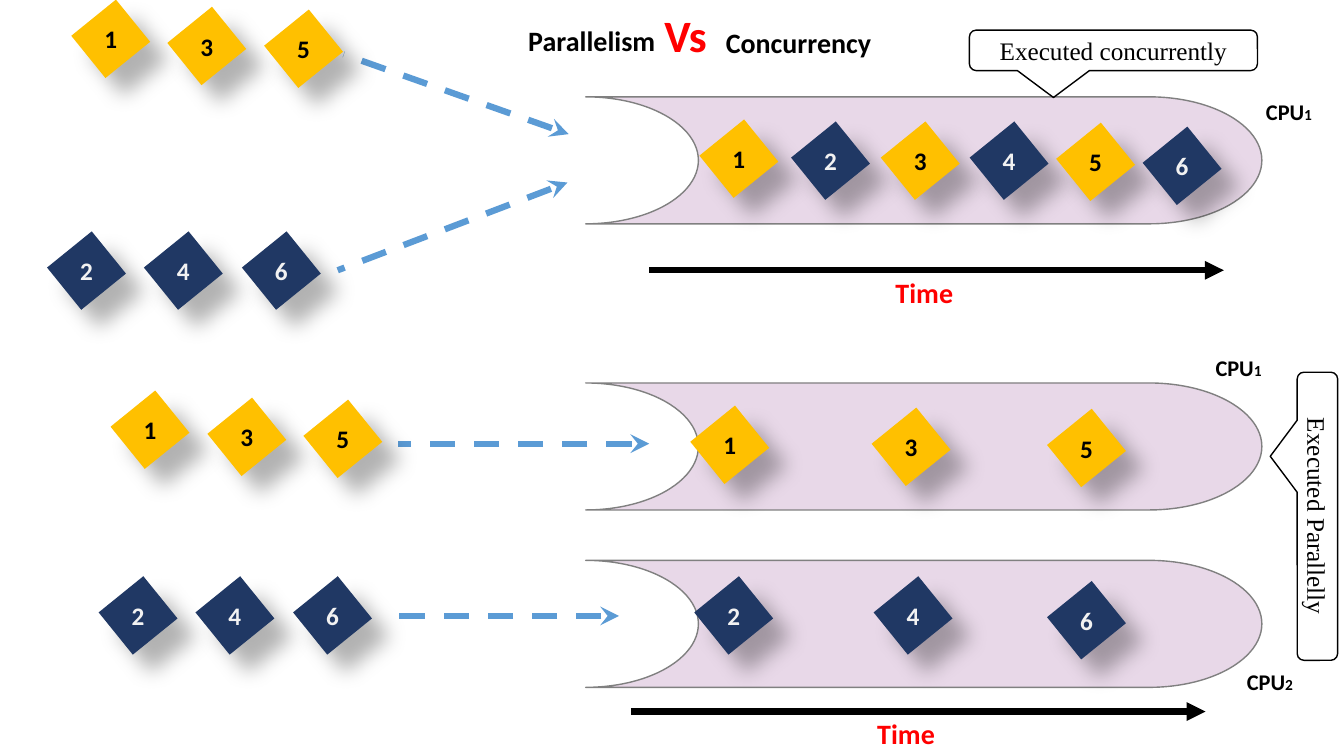
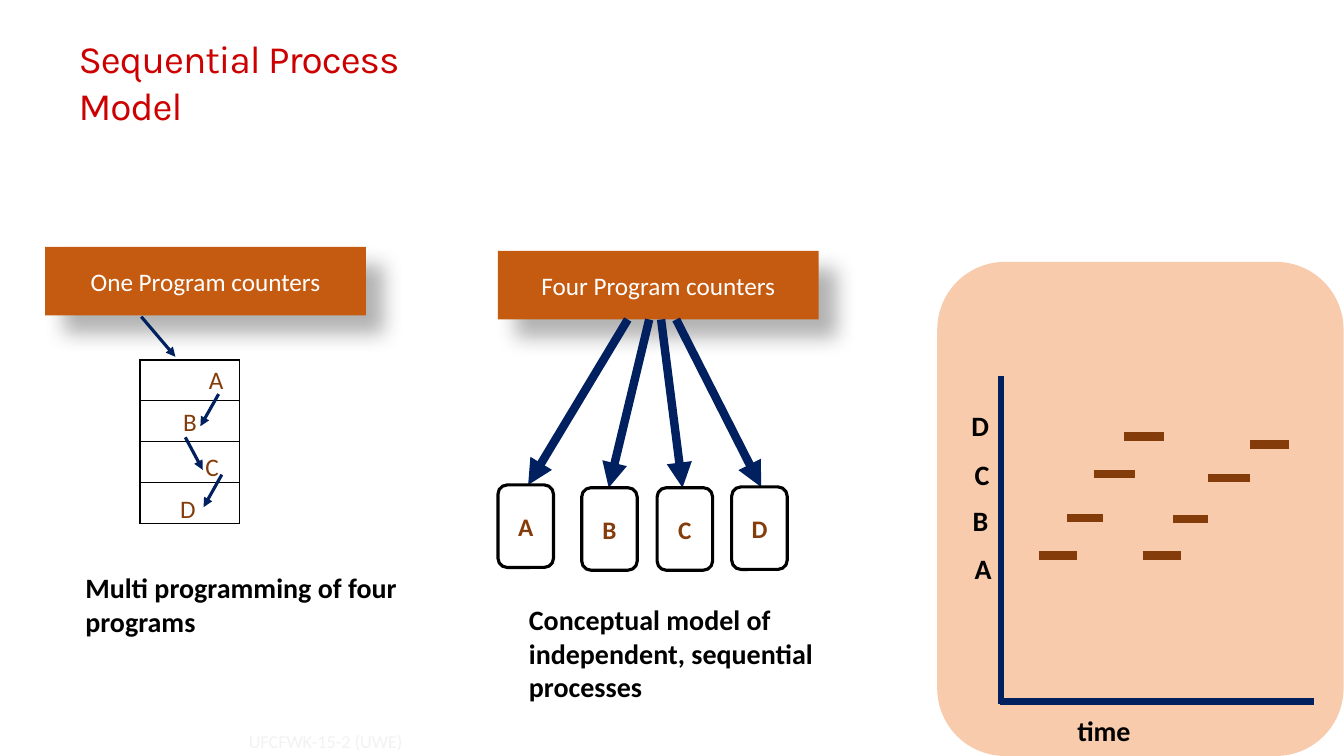
from lxml import etree
from pptx import Presentation
from pptx import util as u
from pptx.dml.color import RGBColor
from pptx.enum import dml, shapes, text
from pptx.oxml.ns import qn

COLOURS = {
    "black": "000000", "white": "FFFFFF", "red": "FF0000", "title": "CC0000",
    "gold": "FFC000", "navy": "203864", "pale": "F2F2F2", "lilac": "E8D8E8",
    "grey": "808080", "blue": "5B9BD5", "ink": "002060", "orange": "C55A11",
    "peach": "F8CBAD", "brown": "843C0B",
}
KIND = shapes.MSO_SHAPE
LEFT, CENTER = text.PP_ALIGN.LEFT, text.PP_ALIGN.CENTER


def add_box(slide, kind, bounds, label="", size=18, colour="black", bold=False,
            align=CENTER, font="Calibri", fill=None, line=None, width=1,
            rotation=0, shadow=False, inset=None):
    """Add a preset shape, or a text box if kind is None; bounds are in cm."""
    place = [u.Cm(length) for length in bounds]
    if kind is None:
        shape = slide.shapes.add_textbox(*place)
    else:
        shape = slide.shapes.add_shape(kind, *place)
    shape.rotation = rotation
    if fill:
        shape.fill.solid()
        shape.fill.fore_color.rgb = RGBColor.from_string(COLOURS[fill])
    else:
        shape.fill.background()
    if line:
        shape.line.color.rgb = RGBColor.from_string(COLOURS[line])
        shape.line.width = u.Pt(width)
    else:
        shape.line.fill.background()
    shape.shadow.inherit = False
    if shadow:
        effects = shape.element.spPr.find(qn("a:effectLst"))
        outer = etree.SubElement(effects, qn("a:outerShdw"), blurRad="190500",
                                 dist="228600", dir="2700000", algn="ctr", rotWithShape="0")
        tint = etree.SubElement(outer, qn("a:srgbClr"), val=COLOURS["black"])
        etree.SubElement(tint, qn("a:alpha"), val="30000")
    if label:
        frame = shape.text_frame
        frame.word_wrap = True
        if inset is not None:
            frame.margin_left = frame.margin_right = u.Cm(inset)
            frame.margin_top = frame.margin_bottom = u.Cm(inset)
        if kind is not None or inset is not None:
            frame.vertical_anchor = text.MSO_ANCHOR.MIDDLE
        paragraph = frame.paragraphs[0]
        paragraph.add_run().text = label
        paragraph.alignment = align
        paragraph.font.name = font
        paragraph.font.size = u.Pt(size)
        paragraph.font.bold = bold
        paragraph.font.color.rgb = RGBColor.from_string(COLOURS[colour])
    return shape


def add_line(slide, points, colour, width, end=None, arrow="triangle", dashed=False):
    """Add a line through points (x1, y1, x2, y2) in cm; end is headEnd or tailEnd."""
    connector = slide.shapes.add_connector(
        shapes.MSO_CONNECTOR.STRAIGHT, *[u.Cm(length) for length in points])
    connector.line.color.rgb = RGBColor.from_string(COLOURS[colour])
    connector.line.width = u.Pt(width)
    if dashed:
        connector.line.dash_style = dml.MSO_LINE.DASH
    properties = connector.element.spPr
    if end:
        etree.SubElement(properties.find(qn("a:ln")), qn("a:" + end), type=arrow)
    etree.SubElement(properties, qn("a:effectLst"))


presentation = Presentation()
presentation.slide_width, presentation.slide_height = u.Cm(33.87), u.Cm(19.05)
blank = presentation.slide_layouts[6]

# Slide 1: parallelism and concurrency
slide = presentation.slides.add_slide(blank)

for label, bounds, size, colour in [
    ("Parallelism", (12.8, 0.46, 4.23, 1.12), 20, "black"),
    ("Vs", (16.38, 0.08, 1.8, 1.63), 32, "red"),
    ("Concurrency", (17.98, 0.53, 4.29, 1.12), 20, "black"),
]:
    add_box(slide, None, bounds, label, size, colour, bold=True)

for top in (2.44, 9.65, 14.12):
    add_box(slide, KIND.FLOWCHART_STORED_DATA, (14.76, top, 17.04, 3.2),
            fill="lilac", line="grey", rotation=180)

for points in [
    (14.33, 3.38, 8.66, 1.37), (14.3, 4.6, 8.51, 6.81),
    (16.36, 11.18, 10.03, 11.18), (15.6, 15.52, 9.65, 15.52),
]:
    add_line(slide, points, "blue", 4.5, "headEnd", "stealth", dashed=True)

# Each row: task numbers with the centres of their tokens
token_rows = [
    [(1, 2.79, 0.98), (3, 5.21, 1.16), (5, 7.65, 1.23)],
    [(2, 2.18, 6.82), (4, 4.62, 6.82), (6, 7.09, 6.82)],
    [(1, 18.62, 4), (2, 20.93, 4.05), (3, 23.19, 4.05),
     (4, 25.43, 4.05), (5, 27.61, 4.08), (6, 29.79, 4.18)],
    [(1, 3.78, 10.83), (3, 6.22, 11.01), (5, 8.64, 11.06)],
    [(2, 3.48, 15.51), (4, 5.92, 15.51), (6, 8.38, 15.51)],
    [(1, 18.39, 11.21), (3, 22.96, 11.26), (5, 27.38, 11.29)],
    [(2, 18.49, 15.51), (4, 23.01, 15.51), (6, 27.38, 15.63)],
]
token_width, token_height = 1.37, 1.45
for row in token_rows:
    for number, x, y in row:
        fill, colour = ("gold", "black") if number % 2 else ("navy", "pale")
        bounds = (x - token_width / 2, y - token_height / 2, token_width, token_height)
        add_box(slide, KIND.RECTANGLE, bounds, fill=fill, rotation=51, shadow=True)
        add_box(slide, None, bounds, str(number), colour=colour, bold=True, inset=0)

for number, left, top in [("1", 30.63, 2.34), ("1", 29.36, 8.81), ("2", 30.15, 16.71)]:
    cpu = add_box(slide, None, (left, top, 3.71, 0.94), "CPU", 16, bold=True)
    run = cpu.text_frame.paragraphs[0].add_run()
    run.text = number
    run.font.size = u.Pt(11)

for label, left, top, rotation in [
    ("Executed concurrently", 24.43, 0.76, 0),
    ("Executed Parallelly", 29.57, 12.5, 90),
]:
    callout = add_box(slide, KIND.ROUNDED_RECTANGULAR_CALLOUT, (left, top, 7.26, 1.02), label,
                      font="Times New Roman", line="black", rotation=rotation)
    for index, value in enumerate((-0.208, 1.165, 0.167)):
        callout.adjustments[index] = value

for x, y in [(16.36, 6.81), (15.9, 17.93)]:
    add_line(slide, (x, y, x + 14.48, y), "black", 4.5, "tailEnd")
    add_box(slide, None, (x + 4.79, y, 4.29, 1.12), "Time", 20, "red", bold=True)

# Slide 2: sequential process model
slide = presentation.slides.add_slide(blank)

title = add_box(slide, None, (1.98, 0.88, 10.59, 2.4), "Sequential Process Model", 27.7,
                "title", align=LEFT, font="Karla", inset=0)
title.text_frame.vertical_anchor = text.MSO_ANCHOR.TOP
for run in title.text_frame.paragraphs[0].runs:
    run.font.element.set("spc", "-70") if hasattr(run.font, "element") else \
        run._r.get_or_add_rPr().set("spc", "-70")

# Timeline of the four processes
add_box(slide, KIND.ROUNDED_RECTANGLE, (23.62, 6.6, 10.24, 12.45), fill="peach")
add_line(slide, (25.22, 9.47, 25.22, 17.75), "ink", 4.5)
add_line(slide, (33.12, 17.68, 25.2, 17.68), "ink", 4.5)
add_box(slide, None, (26.9, 17.86, 2.2, 1.12), "time", 20, bold=True, align=LEFT)
for label, left, top, bars in [
    ("D", 24.23, 10.16, [(28.32, 29.34, 11), (31.5, 32.49, 11.2)]),
    ("C", 24.31, 11.4, [(27.56, 28.6, 11.94), (30.45, 31.5, 12.04)]),
    ("B", 24.26, 12.57, [(26.9, 27.79, 13.06), (29.57, 30.45, 13.08)]),
    ("A", 24.31, 13.77, [(26.19, 27.15, 14), (28.8, 29.77, 14)]),
]:
    add_box(slide, None, (left, top, 1.1, 1.12), label, 20, bold=True, align=LEFT)
    for start, stop, y in bars:
        add_line(slide, (start, y, stop, y), "brown", 6)

for label, left, top in [
    ("One Program counters", 1.14, 6.22), ("Four Program counters", 12.55, 6.32),
]:
    add_box(slide, KIND.RECTANGLE, (left, top, 8.08, 1.73), label, colour="white",
            fill="orange", shadow=True)

# Four counters, each with its own process
for label, left, top, start, tip in [
    ("A", 12.55, 12.22, 15.82, 13.31), ("B", 14.66, 12.29, 16.36, 15.34),
    ("C", 16.56, 12.29, 16.66, 17.2), ("D", 18.44, 12.27, 17.04, 19.18),
]:
    add_line(slide, (start, 8.05, tip, top), "ink", 6, "tailEnd")
    add_box(slide, KIND.ROUNDED_RECTANGLE, (left, top, 1.4, 2.08), label, colour="brown",
            bold=True, line="black", width=2.25, inset=0)

# One counter stepping through a shared memory
table = slide.shapes.add_table(
    4, 1, u.Cm(3.53), u.Cm(9.07), u.Cm(2.51), u.Cm(4.12)).table
table.first_row = table.horz_banding = False
for cell in table.iter_cells():
    for side in ("lnL", "lnR", "lnT", "lnB"):
        border = etree.SubElement(cell._tc.get_or_add_tcPr(), qn("a:" + side), w="12700")
        solid = etree.SubElement(border, qn("a:solidFill"))
        etree.SubElement(solid, qn("a:srgbClr"), val=COLOURS["black"])
    cell.fill.background()

for label, left, top in [
    ("A", 4.19, 9.02), ("B", 3.53, 10.08), ("C", 4.09, 11.23), ("D", 3.48, 12.27),
]:
    add_box(slide, None, (left, top, 2.51, 1.07), label, colour="brown", inset=0)

for points in [
    (3.56, 7.98, 4.42, 8.99), (5.51, 9.93, 5.05, 10.74),
    (4.67, 11.02, 5.11, 11.84), (5.59, 11.96, 5.13, 12.78),
]:
    add_line(slide, points, "ink", 2.25, "tailEnd")

for label, bounds in [
    ("Multi programming of four programs", (1.9, 14.25, 8.89, 1.96)),
    ("Conceptual model of independent, sequential processes", (13.08, 15.06, 8.89, 2.92)),
]:
    add_box(slide, None, bounds, label, 20, bold=True, align=LEFT)

add_box(slide, None, (6.27, 18.3, 5, 0.75), "UFCFWK-15-2 (UWE)", 13, "pale",
        align=LEFT, inset=0)

presentation.save("out.pptx")
